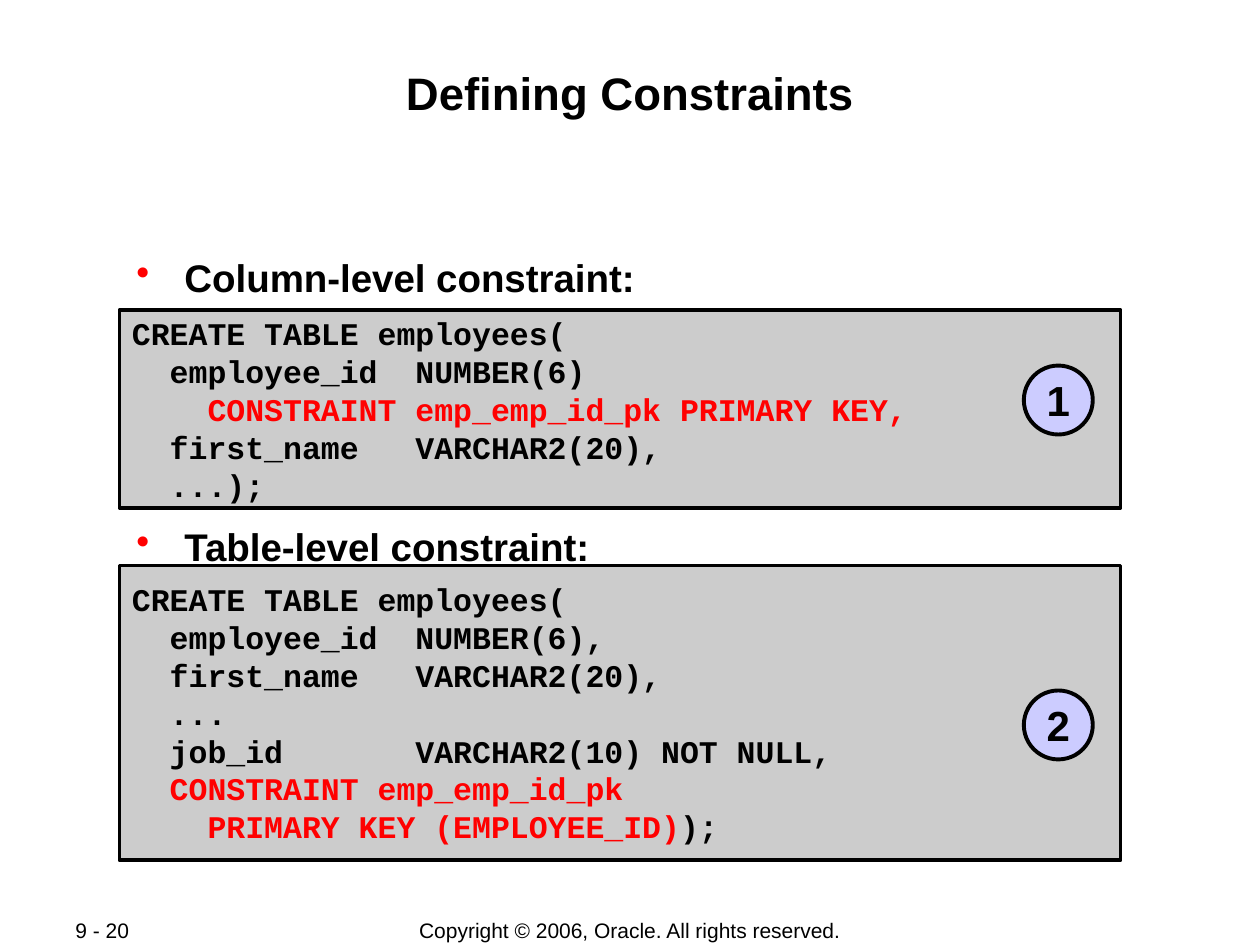
from lxml.etree import SubElement
from pptx import Presentation
from pptx.dml.color import RGBColor
from pptx.enum.shapes import MSO_SHAPE as Shape
from pptx.enum.text import MSO_ANCHOR as Anchor, PP_ALIGN as Align
from pptx.oxml.ns import qn
from pptx.util import Cm, Pt

BLACK, RED, GRAY, LILAC = "000000", "FF0000", "CCCCCC", "CCCCFF"

TITLE = {"name": "Arial", "size": Pt(26), "bold": True}
BULLET = {"name": "Arial", "size": Pt(22), "bold": True}
CODE = {"name": "Courier New", "size": Pt(18), "bold": True}
BADGE = {"name": "Arial", "size": Pt(24), "bold": True}
FOOTER = {"name": "Arial", "size": Pt(12), "bold": False}

COLUMN_CODE = [
    [("CREATE TABLE employees(", BLACK)],
    [("  employee_id  NUMBER(6)", BLACK)],
    [("    ", BLACK), ("CONSTRAINT emp_emp_id_pk PRIMARY KEY,", RED)],
    [("  first_name   VARCHAR2(20),", BLACK)],
    [("  ...);", BLACK)],
]
TABLE_CODE = [
    [("CREATE TABLE employees(", BLACK)],
    [("  employee_id  NUMBER(6),", BLACK)],
    [("  first_name   VARCHAR2(20),", BLACK)],
    [("  ...", BLACK)],
    [("  job_id       VARCHAR2(10) NOT NULL,", BLACK)],
    [("  ", BLACK), ("CONSTRAINT emp_emp_id_pk", RED)],
    [("    PRIMARY KEY (EMPLOYEE_ID)", RED), (");", BLACK)],
]


def color(value):
    return RGBColor.from_string(value)


def set_frame(frame, anchor, side, edge):
    settings = {
        "word_wrap": True, "vertical_anchor": anchor,
        "margin_left": Cm(side), "margin_right": Cm(side),
        "margin_top": Cm(edge), "margin_bottom": Cm(edge),
    }
    for key, value in settings.items():
        setattr(frame, key, value)


def add_span(para, text, style, hue=BLACK):
    span = para.add_run()
    span.text = text
    for key, value in style.items():
        setattr(span.font, key, value)
    span.font.color.rgb = color(hue)


def add_text(page, place, text, style, align=Align.LEFT, anchor=Anchor.TOP, side=0.03):
    box = page.shapes.add_textbox(*map(Cm, place))
    set_frame(box.text_frame, anchor, side, 0)
    para = box.text_frame.paragraphs[0]
    para.alignment = align
    add_span(para, text, style)
    return para


def add_bullet(page, top, text):
    para = add_text(page, (2.39, top, 20.47, 0.95), text, BULLET)
    properties = para._p.get_or_add_pPr()
    properties.set("marL", str(Cm(1.3)))
    properties.set("indent", str(Cm(-0.97)))
    bullet_color = SubElement(properties, qn("a:buClr"))
    SubElement(bullet_color, qn("a:srgbClr"), val=RED)
    SubElement(properties, qn("a:buChar"), char="•")


def add_filled(page, kind, place, fill):
    shape = page.shapes.add_shape(kind, *map(Cm, place))
    shape.shadow.inherit = False
    shape.fill.solid()
    shape.fill.fore_color.rgb = color(fill)
    shape.line.color.rgb = color(BLACK)
    shape.line.width = Pt(2.25)
    return shape.text_frame


def add_code(page, top, height, lines):
    frame = add_filled(page, Shape.RECTANGLE, (2.41, top, 20.18, height), GRAY)
    set_frame(frame, Anchor.MIDDLE, 0.25, 0.13)
    for index, line in enumerate(lines):
        para = frame.add_paragraph() if index else frame.paragraphs[0]
        para.alignment = Align.LEFT
        for text, hue in line:
            add_span(para, text, CODE, hue)


def add_badge(page, top, text):
    frame = add_filled(page, Shape.OVAL, (20.64, top, 1.39, 1.39), LILAC)
    set_frame(frame, Anchor.MIDDLE, 0, 0)
    para = frame.paragraphs[0]
    para.alignment = Align.CENTER
    add_span(para, text, BADGE)


def main():
    deck = Presentation()
    deck.slide_width, deck.slide_height = Cm(25.4), Cm(19.05)
    page = deck.slides.add_slide(deck.slide_layouts[6])
    add_text(page, (7, 18.49, 11.4, 0.53), "Copyright © 2006, Oracle. All rights reserved.",
             FOOTER, Align.CENTER, Anchor.MIDDLE, 0.25)
    add_text(page, (1.27, 18.49, 2.69, 0.53), "9 - 20", FOOTER, anchor=Anchor.MIDDLE, side=0.25)
    add_text(page, (1.7, 1.32, 22, 2.34), "Defining Constraints", TITLE, Align.CENTER)
    add_bullet(page, 5.13, "Column-level constraint:")
    add_bullet(page, 10.55, "Table-level constraint:")
    add_code(page, 6.25, 3.99, COLUMN_CODE)
    add_code(page, 11.4, 5.94, TABLE_CODE)
    add_badge(page, 7.37, "1")
    add_badge(page, 13.92, "2")
    deck.save("out.pptx")


if __name__ == "__main__":
    main()
